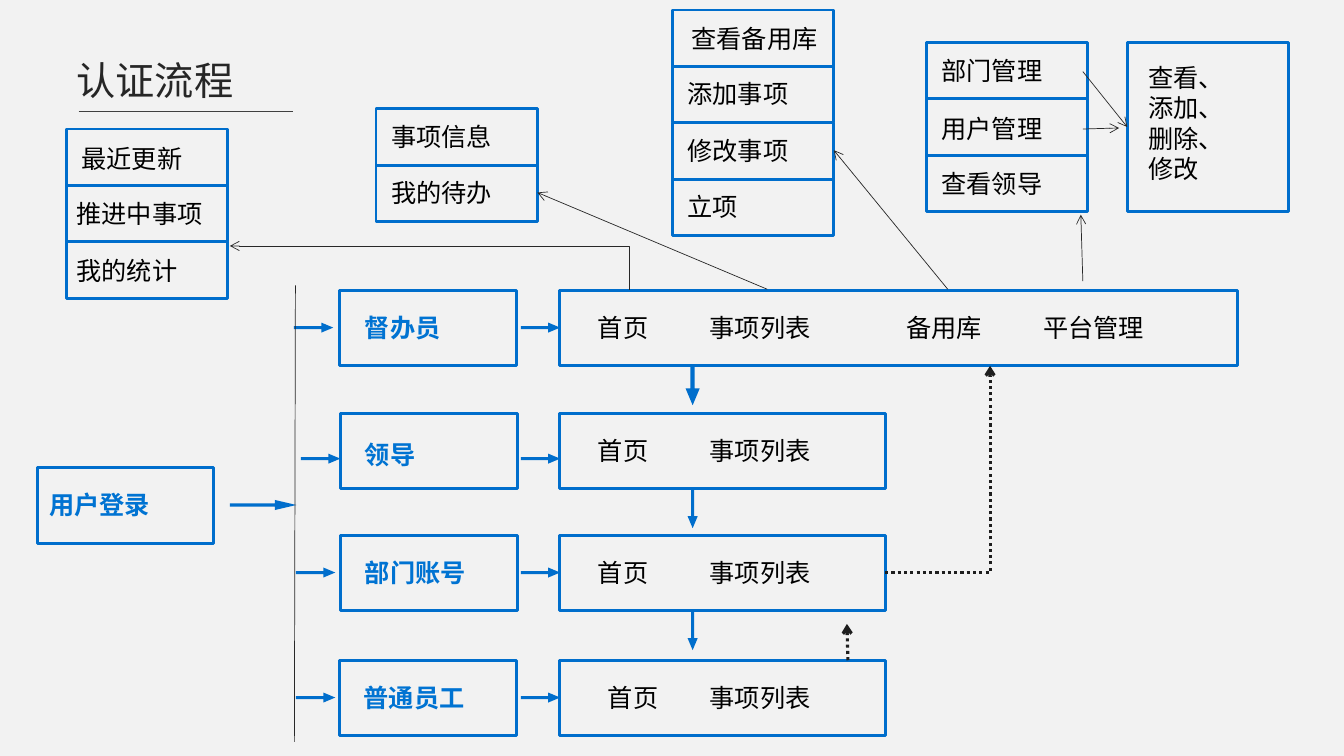
from typing import NamedTuple

from lxml import etree
from pptx import Presentation
from pptx.dml.color import RGBColor
from pptx.enum.dml import MSO_LINE
from pptx.enum.shapes import MSO_CONNECTOR, MSO_SHAPE
from pptx.enum.text import MSO_ANCHOR, MSO_AUTO_SIZE, PP_ALIGN
from pptx.oxml.ns import qn
from pptx.util import Inches, Pt

RECTANGLE = MSO_SHAPE.RECTANGLE
DOWN_ARROW = MSO_SHAPE.DOWN_ARROW
STRAIGHT = MSO_CONNECTOR.STRAIGHT
ELBOW = MSO_CONNECTOR.ELBOW
DOTTED = MSO_LINE.ROUND_DOT
FIT_TEXT = MSO_AUTO_SIZE.SHAPE_TO_FIT_TEXT
NO_FIT = MSO_AUTO_SIZE.NONE
TOP = MSO_ANCHOR.TOP
LEFT = PP_ALIGN.LEFT

BACKGROUND = RGBColor(0xF2, 0xF2, 0xF2)
BLUE = RGBColor(0x00, 0x6E, 0xCC)
ROLE_BLUE = RGBColor(0x00, 0x73, 0xD2)
BLACK = RGBColor(0x00, 0x00, 0x00)
TITLE_GRAY = RGBColor(0x26, 0x26, 0x26)
RULE_GRAY = RGBColor(0x40, 0x40, 0x40)
LINK_GRAY = RGBColor(0x28, 0x28, 0x28)
DOT_GRAY = RGBColor(0x1E, 0x1E, 0x1E)

HEADING_FONT = "Noto Sans CJK SC"
BODY_FONT = "Calibri"
CELL_WIDTH, CELL_HEIGHT = 1.6, 0.56
ROW_HEIGHT, ROLE_WIDTH = 0.75, 1.75
PAGES_LEFT = 5.55
INDENT = 0.11


class Cell(NamedTuple):
    """A menu function and the offset of its text from the cell corner."""
    label: str
    dx: float = 0.05
    dy: float = 0.07


class Menu(NamedTuple):
    """A stack of function cells."""
    left: float
    top: float
    cells: list[Cell]


class Entry(NamedTuple):
    """A page name within a role's row."""
    label: str
    left: float
    width: float = 1.47
    indent: float = 0


class Role(NamedTuple):
    """A user role with the pages it can open."""
    label: str
    left: float
    top: float
    text_left: float
    text_top: float
    arrow_x: float
    arrow_y: float
    pages_width: float
    entries: list[Entry]
    down_width: float = 0.1


class Link(NamedTuple):
    """A thin line or arrow between two points."""
    start: tuple[float, float]
    end: tuple[float, float]
    color: RGBColor = LINK_GRAY
    weight: float = 0.5
    arrow: str = "a:tailEnd"
    kind: int = STRAIGHT
    dotted: bool = False


LIST_ENTRY = Entry("事项列表", 6.94)
HOME_ENTRY = Entry("首页", 5.72, 1.23, INDENT)

MENUS = [
    Menu(0.66, 1.28, [Cell("最近更新", 0.05, 0.09), Cell("推进中事项", 0, 0.08), Cell("我的统计", 0, 0.08)]),
    Menu(3.73, 1.08, [Cell("事项信息"), Cell("我的待办")]),
    Menu(6.67, 0.1, [Cell("查看备用库", 0.09, 0.08), Cell("添加事项"), Cell("修改事项"), Cell("立项")]),
    Menu(9.19, 0.42, [Cell("部门管理", dy=0.08), Cell("用户管理", dy=0.1), Cell("查看领导", dy=0.08)]),
]

ROLES = [
    Role("督办员", 3.37, 2.88, 3.52, 3.05, 3.11, 3.25, 6.72,
         [HOME_ENTRY, LIST_ENTRY, Entry("备用库", 8.78, indent=INDENT), Entry("平台管理", 10.25)], 0.14),
    Role("领导", 3.38, 4.1, 3.52, 4.31, 3.18, 4.55, 3.23, [HOME_ENTRY, LIST_ENTRY]),
    Role("部门账号", 3.38, 5.31, 3.52, 5.48, 3.13, 5.68, 3.23, [HOME_ENTRY, LIST_ENTRY]),
    Role("普通员工", 3.37, 6.55, 3.51, 6.72, 3.13, 6.92, 3.23,
         [HOME_ENTRY._replace(left=5.82), LIST_ENTRY]),
]

LINKS = [
    Link((0.78, 1.1), (2.91, 1.1), RULE_GRAY, arrow=""),
    Link((2.93, 2.83), (2.92, 7.36), arrow=""),
    Link((8.41, 6.55), (8.4, 6.19), DOT_GRAY, 2.25, dotted=True),
    Link((8.78, 5.68), (9.82, 3.63), DOT_GRAY, 2.25, kind=ELBOW, dotted=True),
    Link((2.28, 2.44), (6.24, 2.88), arrow="a:headEnd", kind=ELBOW),
    Link((7.61, 2.87), (5.33, 1.91)),
    Link((9.4, 2.87), (8.27, 1.49)),
    Link((10.74, 2.79), (10.72, 2.13)),
    Link((10.74, 0.71), (11.18, 1.26)),
    Link((10.74, 1.28), (11.1, 1.27)),
]


def style_frame(frame, size: float, font: str, color: RGBColor, bold: bool = False) -> None:
    """Format every run in a text frame."""
    for para in frame.paragraphs:
        para.alignment = LEFT
        for span in para.runs:
            span.font.size = Pt(size)
            span.font.name = font
            span.font.bold = bold
            span.font.color.rgb = color


def add_title(page, text: str) -> None:
    """Move and format the title placeholder."""
    title = page.shapes.title
    title.left, title.top = Inches(0.66), Inches(0.51)
    title.width, title.height = Inches(1.77), Inches(0.57)
    frame = title.text_frame
    frame.text = text
    frame.word_wrap = False
    frame.auto_size = NO_FIT
    frame.vertical_anchor = TOP
    style_frame(frame, 28, HEADING_FONT, TITLE_GRAY)


def add_label(page, text: str, left: float, top: float, width: float, height: float = 0.4,
              indent: float = 0, role: bool = False) -> None:
    """Add a text label, in heading style when it names a role."""
    box = page.shapes.add_textbox(Inches(left), Inches(top), Inches(width), Inches(height))
    frame = box.text_frame
    frame.text = text
    frame.word_wrap = True
    frame.auto_size = FIT_TEXT
    frame.margin_left = Inches(0.1 + indent)
    style_frame(frame, 18, HEADING_FONT if role else BODY_FONT, ROLE_BLUE if role else BLACK, role)


def add_frame(page, left: float, top: float, width: float, height: float) -> None:
    """Add an unfilled blue rectangle."""
    box = page.shapes.add_shape(RECTANGLE, Inches(left), Inches(top), Inches(width), Inches(height))
    box.shadow.inherit = False
    box.fill.background()
    box.line.color.rgb = BLUE
    box.line.width = Pt(2)


def add_arrow(page, center_x: float, center_y: float, length: float = 0.39, width: float = 0.1,
              rotation: float = 270, head: float = 1.188) -> None:
    """Add a solid block arrow around its centre, pointing right by default."""
    arrow = page.shapes.add_shape(DOWN_ARROW, Inches(center_x - width / 2), Inches(center_y - length / 2),
                                  Inches(width), Inches(length))
    arrow.rotation = rotation
    arrow.adjustments[0] = 0.301
    arrow.adjustments[1] = head
    arrow.shadow.inherit = False
    arrow.fill.solid()
    arrow.fill.fore_color.rgb = BLUE
    arrow.line.fill.background()


def add_link(page, link: Link) -> None:
    """Add a connector, with one bend if it is an elbow."""
    (x1, y1), (x2, y2) = link.start, link.end
    connector = page.shapes.add_connector(link.kind, Inches(x1), Inches(y1), Inches(x2), Inches(y2))
    connector.line.color.rgb = link.color
    connector.line.width = Pt(link.weight)
    if link.dotted:
        connector.line.dash_style = DOTTED
    properties = connector.element.spPr
    if link.kind == ELBOW:
        properties.find(qn("a:prstGeom")).set("prst", "bentConnector2")
    if link.arrow:
        etree.SubElement(properties.find(qn("a:ln")), qn(link.arrow), type="arrow")
    etree.SubElement(properties, qn("a:effectLst"))


def add_menu(page, menu: Menu) -> None:
    """Add a stack of framed function names."""
    for index, cell in enumerate(menu.cells):
        top = menu.top + index * CELL_HEIGHT
        add_frame(page, menu.left, top, CELL_WIDTH, CELL_HEIGHT)
        add_label(page, cell.label, menu.left + cell.dx, top + cell.dy, 1.51)


def add_role(page, role: Role) -> None:
    """Add a role, its pages and the arrows leading to both."""
    add_frame(page, role.left, role.top, ROLE_WIDTH, ROW_HEIGHT)
    add_frame(page, PAGES_LEFT, role.top, role.pages_width, ROW_HEIGHT)
    add_label(page, role.label, role.text_left, role.text_top, 1.47, role=True)
    for entry in role.entries:
        add_label(page, entry.label, entry.left, role.top + 0.17, entry.width, indent=entry.indent)
    for center_x in (role.arrow_x, 5.36):
        add_arrow(page, center_x, role.arrow_y)


deck = Presentation()
deck.slide_width, deck.slide_height = Inches(13.33), Inches(7.5)
page = deck.slides.add_slide(deck.slide_layouts[5])
page.background.fill.solid()
page.background.fill.fore_color.rgb = BACKGROUND

add_title(page, "认证流程")
add_frame(page, 0.37, 4.64, ROLE_WIDTH, ROW_HEIGHT)
add_label(page, "用户登录", 0.39, 4.81, 1.71, role=True)
add_arrow(page, 2.61, 5.01, length=0.66, head=2.126)
for role in ROLES:
    add_role(page, role)
for role in ROLES[:-1]:
    add_arrow(page, 6.87, role.top + ROW_HEIGHT + 0.195, width=role.down_width, rotation=0)
for menu in MENUS:
    add_menu(page, menu)
add_frame(page, 11.18, 0.42, CELL_WIDTH, 3 * CELL_HEIGHT)
add_label(page, "查看、\n添加、\n删除、\n修改", 11.29, 0.57, 1.4, 1.31)
for link in LINKS:
    add_link(page, link)

deck.save("out.pptx")
